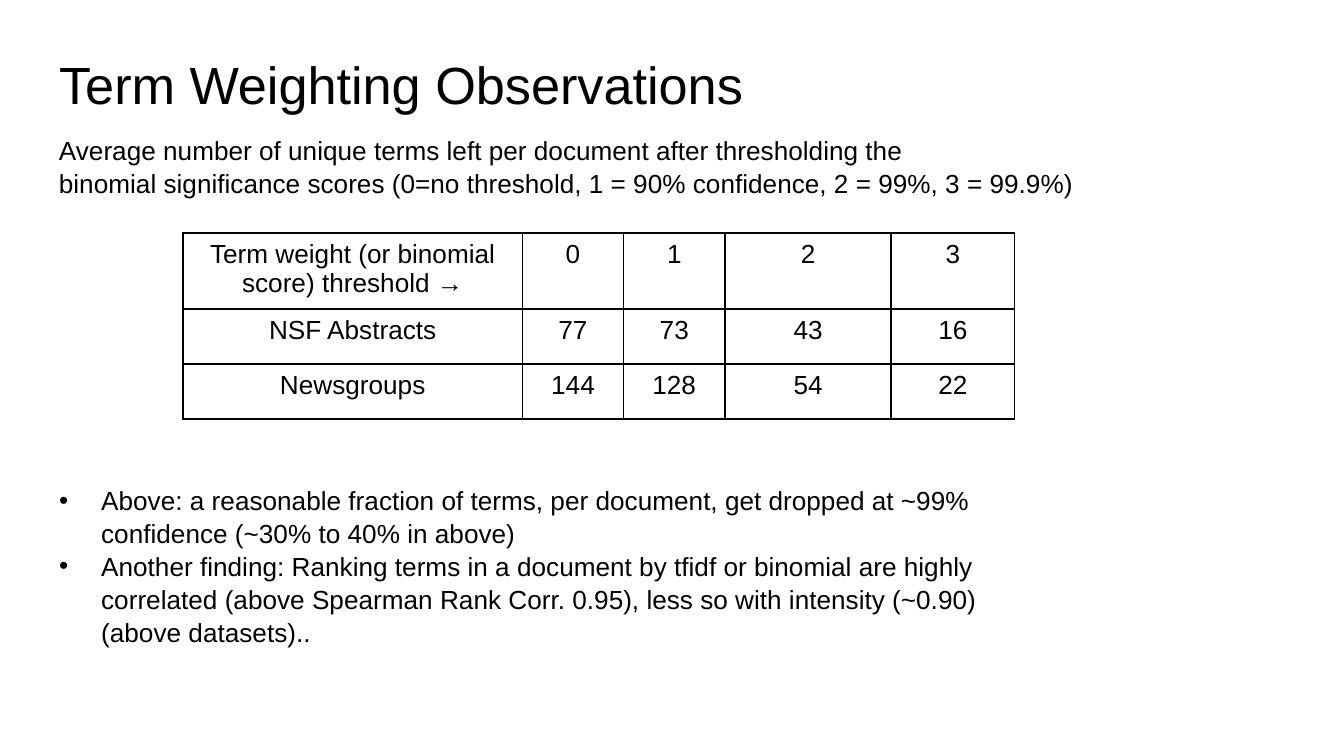
from pptx import Presentation
from pptx.dml.color import RGBColor
from pptx.enum.text import MSO_ANCHOR as Anchor, MSO_AUTO_SIZE as Fit, PP_ALIGN as Align
from pptx.oxml import parse_xml
from pptx.oxml.ns import nsdecls
from pptx.util import Pt

INK, PAPER = "000000", "FFFFFF"
SIDE = 24.5
FRAME = {"margin_left": Pt(7.2), "margin_right": Pt(7.2),
         "margin_top": Pt(3.6), "margin_bottom": Pt(3.6),
         "vertical_anchor": Anchor.TOP, "word_wrap": True,
         "auto_size": Fit.SHAPE_TO_FIT_TEXT}

HEAD = "Term Weighting Observations"
INTRO = ["Average number of unique terms left per document after thresholding the",
         "binomial significance scores (0=no threshold, 1 = 90% confidence, 2 = 99%, 3 = 99.9%)"]
ROWS = [["Term weight (or binomial score) threshold →", 0, 1, 2, 3],
        ["NSF Abstracts", 77, 73, 43, 16],
        ["Newsgroups", 144, 128, 54, 22]]
NOTES = ["Above: a reasonable fraction of terms, per document, get dropped at ~99% "
         "confidence (~30% to 40% in above)",
         "Another finding: Ranking terms in a document by tfidf or binomial are highly "
         "correlated (above Spearman Rank Corr. 0.95), less so with intensity (~0.90) "
         "(above datasets).."]


def color(code):
    return RGBColor.from_string(code)


def apply(item, form):
    for name, value in form.items():
        setattr(item, name, value)


def place(shape, box):
    apply(shape, dict(zip(("left", "top", "width", "height"), map(Pt, box))))


def write(frame, lines, size=14, align=Align.LEFT, lead=1.0):
    frame.text = "\n".join(lines)
    for para in frame.paragraphs:
        apply(para, {"alignment": align, "line_spacing": lead,
                     "space_before": Pt(0), "space_after": Pt(0)})
        apply(para.font, {"name": "Arial", "size": Pt(size)})
        para.font.color.rgb = color(INK)


def add_title(slide, box):
    title = slide.shapes.title
    place(title, box)
    apply(title.text_frame, FRAME | {"margin_top": Pt(10), "auto_size": Fit.NONE})
    write(title.text_frame, [HEAD], size=28)


def add_intro(slide, box):
    frame = slide.shapes.add_textbox(*map(Pt, box)).text_frame
    apply(frame, FRAME | {"word_wrap": False, "auto_size": Fit.NONE})
    write(frame, INTRO, lead=1.05)


def add_border(cell):
    props = cell._tc.get_or_add_tcPr()
    for n, side in enumerate(("lnL", "lnR", "lnT", "lnB")):
        props.insert(n, parse_xml(
            f'<a:{side} {nsdecls("a")} w="{Pt(1)}"><a:solidFill>'
            f'<a:srgbClr val="{INK}"/></a:solidFill></a:{side}>'))


def add_grid(slide, box, widths):
    grid = slide.shapes.add_table(len(ROWS), len(widths), *map(Pt, box)).table
    apply(grid, {"first_row": False, "horz_banding": False})
    for col, width in zip(grid.columns, widths):
        col.width = Pt(width)
    for row, texts in zip(grid.rows, ROWS):
        for cell, text in zip(row.cells, texts):
            cell.fill.solid()
            cell.fill.fore_color.rgb = color(PAPER)
            write(cell.text_frame, [str(text)], align=Align.CENTER)
            add_border(cell)


def add_notes(slide, box):
    body = slide.placeholders[1]
    place(body, box)
    apply(body.text_frame, FRAME)
    write(body.text_frame, NOTES, lead=1.05)
    # Hanging bullets
    for para in body.text_frame.paragraphs:
        props = para._p.get_or_add_pPr()
        props.set("marL", str(Pt(22.5)))
        props.set("indent", str(Pt(-22.5)))
        for tag in (f'buClr {nsdecls("a")}><a:srgbClr val="{INK}"/></a:buClr',
                    f'buFont {nsdecls("a")} typeface="Arial"/',
                    f'buChar {nsdecls("a")} char="•"/'):
            props.append(parse_xml(f"<a:{tag}>"))


def main():
    deck = Presentation()
    apply(deck, {"slide_width": Pt(720), "slide_height": Pt(405)})
    slide = deck.slides.add_slide(deck.slide_layouts[1])
    add_title(slide, (SIDE, 18, 671, 45))
    add_grid(slide, (98, 124.8, 445.5, 88.5), (182, 54, 54.5, 89, 66))
    add_intro(slide, (SIDE, 67.7, 564.5, 58.3))
    add_notes(slide, (SIDE, 255, 520, 92))
    deck.save("out.pptx")


if __name__ == "__main__":
    main()
